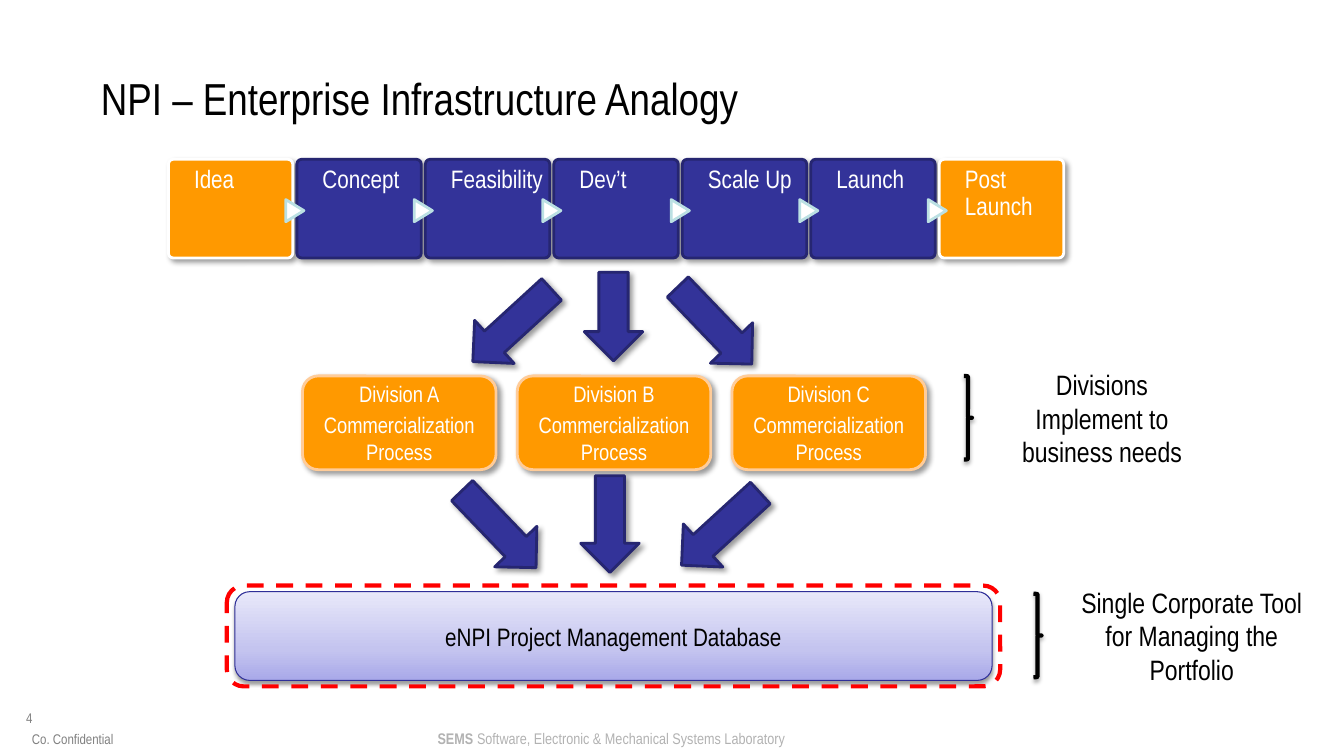
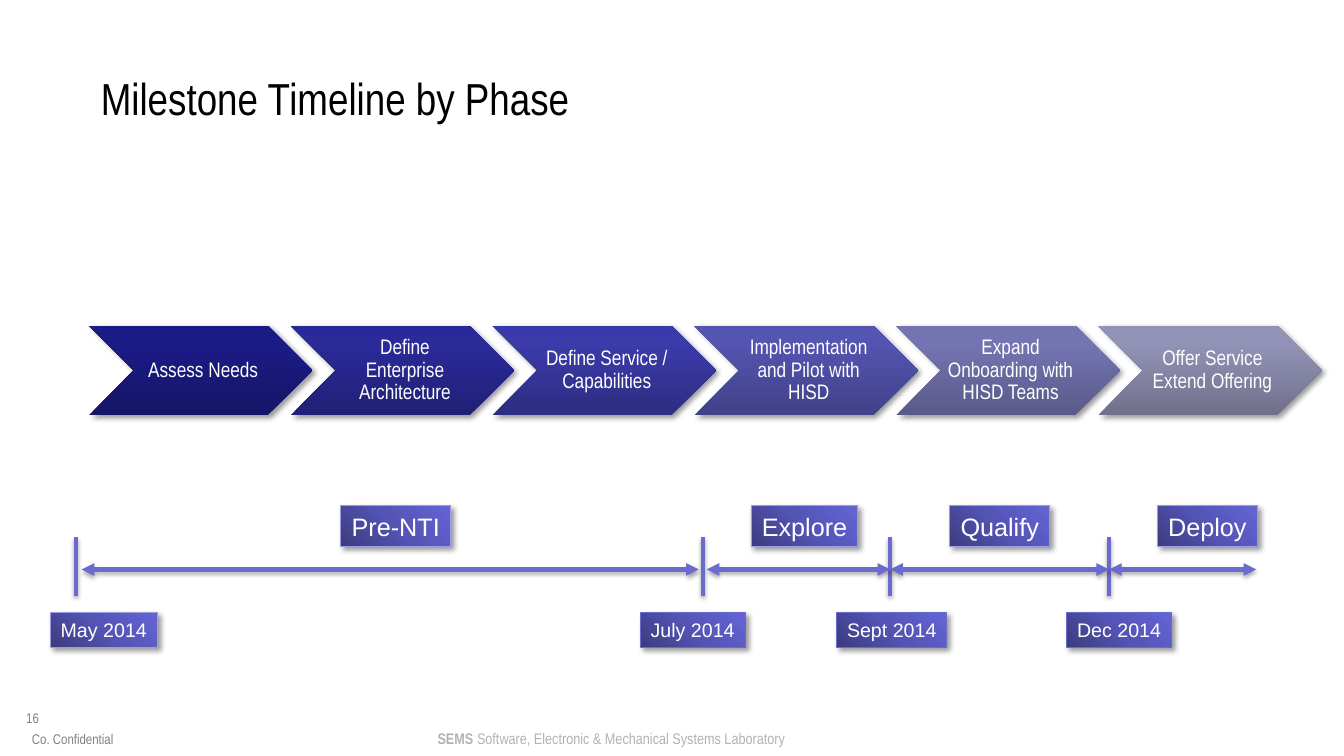
import collections

import lxml.etree
import pptx
import pptx.dml.color
import pptx.enum.dml
import pptx.enum.shapes
import pptx.enum.text
import pptx.oxml.ns
import pptx.util

Inches, Pt = pptx.util.Inches, pptx.util.Pt
RGBColor = pptx.dml.color.RGBColor
PRESET = pptx.enum.shapes.MSO_SHAPE
ALIGN = pptx.enum.text.PP_ALIGN
ANCHOR = pptx.enum.text.MSO_ANCHOR
qn = pptx.oxml.ns.qn

Box = collections.namedtuple("Box", "left top width height")

# Colours and fonts
WHITE = RGBColor(0xFF, 0xFF, 0xFF)
BLACK = RGBColor(0x00, 0x00, 0x00)
GRAY = RGBColor(0x80, 0x80, 0x80)
SILVER = RGBColor(0xB2, 0xB2, 0xB2)
ORANGE = RGBColor(0xFF, 0x99, 0x00)
PEACH = RGBColor(0xFF, 0xCC, 0x99)
INDIGO = RGBColor(0x33, 0x33, 0x99)
DARK_INDIGO = RGBColor(0x26, 0x26, 0x71)
MID_INDIGO = RGBColor(0x2F, 0x2F, 0x98)
ICE = RGBColor(0xBB, 0xE0, 0xE3)
RED = RGBColor(0xFF, 0x00, 0x00)
PERIWINKLE = RGBColor(0x6B, 0x6B, 0xCF)
LAVENDER = RGBColor(0x9C, 0x9C, 0xDF)
NARROW, REGULAR = "Arial Narrow", "Arial"

# Shadows: opacity %, blur pt, distance pt, direction degrees
RAISED = (40, 4, 3, 45)
SOFT = (35, 3.1, 1.8, 90)

# Gradients: angle and (position %, colour) stops
DATABASE_FILL = (270, [(0, "A9A9E9"), (35, "C4C4EF"), (100, "E8E8FA")])
TAG_FILL = (315, [(0, "3B3B7F"), (50, "5454B5"), (100, "6464D6")])


def put_text(frame, paragraphs, size=18, color=WHITE, font=NARROW, align=ALIGN.CENTER,
             anchor=ANCHOR.MIDDLE, insets=(0, 0, 0, 0), wrap=True, spacing=None, before=0):
    """Fill a frame; each paragraph is a string or a list of (text, bold) runs."""
    frame.word_wrap = wrap
    frame.auto_size = pptx.enum.text.MSO_AUTO_SIZE.NONE
    frame.vertical_anchor = anchor
    (frame.margin_left, frame.margin_top,
     frame.margin_right, frame.margin_bottom) = map(Inches, insets)
    for index, content in enumerate(paragraphs):
        paragraph = frame.add_paragraph() if index else frame.paragraphs[0]
        paragraph.alignment = align
        if spacing:
            paragraph.line_spacing = spacing
        if index and before:
            paragraph.space_before = Pt(before)
        for text, bold in [(content, False)] if isinstance(content, str) else content:
            run = paragraph.add_run()
            run.text = text
            run.font.name, run.font.size, run.font.bold = font, Pt(size), bold
            run.font.color.rgb = color


def add_label(slide, box, paragraphs, **text_format):
    label = slide.shapes.add_textbox(*map(Inches, box))
    put_text(label.text_frame, paragraphs, **text_format)


def add_shadow(shape, shadow):
    properties = shape.element.spPr
    effects = properties.find(qn("a:effectLst"))
    if effects is None:
        effects = lxml.etree.SubElement(properties, qn("a:effectLst"))
    if shadow:
        opacity, blur, distance, direction = shadow
        outer = lxml.etree.SubElement(
            effects, qn("a:outerShdw"), blurRad=str(Pt(blur)), dist=str(Pt(distance)),
            dir=str(direction * 60000), algn="ctr", rotWithShape="0")
        tint = lxml.etree.SubElement(outer, qn("a:srgbClr"), val=str(BLACK))
        lxml.etree.SubElement(tint, qn("a:alpha"), val=str(opacity * 1000))


def add_gradient(shape, angle, stops):
    shape.fill.gradient()
    shape.fill.gradient_angle = 360 - angle
    stop_list = shape.element.spPr.find(".//" + qn("a:gsLst"))
    for old_stop in list(stop_list):
        stop_list.remove(old_stop)
    for position, color in stops:
        stop = lxml.etree.SubElement(stop_list, qn("a:gs"), pos=str(position * 1000))
        lxml.etree.SubElement(stop, qn("a:srgbClr"), val=color)


def add_shape(slide, preset, box, fill=None, line=None, weight=2, shadow=RAISED,
              rotation=0):
    """Add a preset shape; fill is a colour, an (angle, stops) gradient or None."""
    shape = slide.shapes.add_shape(preset, *map(Inches, box))
    shape.rotation = rotation
    shape.shadow.inherit = False
    if fill is None:
        shape.fill.background()
    elif isinstance(fill, RGBColor):
        shape.fill.solid()
        shape.fill.fore_color.rgb = fill
    else:
        add_gradient(shape, *fill)
    if line is None:
        shape.line.fill.background()
    else:
        shape.line.color.rgb = line
        shape.line.width = Pt(weight)
    add_shadow(shape, shadow)
    return shape


def add_rule(slide, start, end, arrows=False):
    rule = slide.shapes.add_connector(
        pptx.enum.shapes.MSO_CONNECTOR.STRAIGHT, *map(Inches, start + end))
    rule.line.color.rgb = PERIWINKLE
    rule.line.width = Pt(3)
    if arrows:
        outline = rule.element.spPr.find(qn("a:ln"))
        for tip in ("a:headEnd", "a:tailEnd"):
            lxml.etree.SubElement(outline, qn(tip), type="triangle")
    add_shadow(rule, SOFT)


def new_slide(deck, title, number):
    """Start a slide with the shared title style and footer."""
    slide = deck.slides.add_slide(deck.slide_layouts.get_by_name("Title Only"))
    heading = slide.shapes.title
    heading.left, heading.top, heading.width, heading.height = map(
        Inches, (1, 0.68, 12, 0.58))
    put_text(heading.text_frame, [title], size=32, color=BLACK, align=ALIGN.LEFT)

    add_label(slide, Box(0.26, 7.04, 0.71, 0.25), [number], size=10, color=GRAY,
              align=ALIGN.LEFT, anchor=ANCHOR.TOP)
    add_label(slide, Box(4.34, 7.23, 4, 0.19),
              [[("SEMS ", True),
                ("Software, Electronic & Mechanical Systems Laboratory", False)]],
              size=11, color=SILVER, align=ALIGN.LEFT, anchor=ANCHOR.TOP)
    add_label(slide, Box(0.11, 7.19, 1.22, 0.22), ["Co. Confidential"], size=10,
              color=GRAY, anchor=ANCHOR.BOTTOM)
    return slide


# Infrastructure slide
def add_stages(slide, box, names):
    gap = 0.04
    width = (box.width + gap) / len(names) - gap
    lefts = [box.left + i * (width + gap) for i in range(len(names))]
    for left, name in zip(lefts, names):
        outer = name in (names[0], names[-1])
        stage = add_shape(slide, PRESET.ROUNDED_RECTANGLE,
                          Box(left, box.top, width, box.height),
                          fill=ORANGE if outer else INDIGO,
                          line=WHITE if outer else DARK_INDIGO)
        stage.adjustments[0] = 0.05
        put_text(stage.text_frame, [name], align=ALIGN.LEFT, anchor=ANCHOR.TOP,
                 insets=(0.24, 0.06, 0, 0), spacing=0.9)
    # Pointers between neighbouring stages
    for left in lefts[1:]:
        add_shape(slide, PRESET.FLOWCHART_EXTRACT,
                  Box(left - 0.13, box.top + 0.42, 0.22, 0.18),
                  fill=WHITE, line=ICE, shadow=None, rotation=90)


def add_arrow_fan(slide, box, side_height, tilts):
    """Place a straight arrow in the middle and a tilted one at each side."""
    width = 0.58
    arrows = zip((0, 0.5, 1), (side_height, box.height, side_height),
                 (tilts[0], 0, tilts[1]))
    for share, height, tilt in arrows:
        left = box.left + share * (box.width - width)
        add_shape(slide, PRESET.DOWN_ARROW, Box(left, box.top, width, height),
                  fill=INDIGO, line=DARK_INDIGO, rotation=tilt)


def add_divisions(slide, box, letters):
    width = 1.92
    pitch = (box.width - width) / (len(letters) - 1)
    for i, letter in enumerate(letters):
        division = add_shape(slide, PRESET.ROUNDED_RECTANGLE,
                             Box(box.left + i * pitch, box.top, width, box.height),
                             fill=ORANGE, line=PEACH)
        put_text(division.text_frame, ["Division " + letter, "Commercialization Process"],
                 size=16, insets=(0.1, 0.05, 0.1, 0.05), before=3)


def add_database(slide, box, name):
    margin = 0.08
    database = add_shape(
        slide, PRESET.ROUNDED_RECTANGLE,
        Box(box.left + margin, box.top + 0.06, box.width - 2 * margin, box.height - 0.12),
        fill=DATABASE_FILL, line=MID_INDIGO, weight=0.75, shadow=(38, 3.1, 1.6, 90))
    put_text(database.text_frame, [name], color=BLACK)
    frame = add_shape(slide, PRESET.ROUNDED_RECTANGLE, box, line=RED, weight=3,
                      shadow=None)
    frame.line.dash_style = pptx.enum.dml.MSO_LINE.DASH


def add_braced_note(slide, box, note, note_width):
    add_shape(slide, PRESET.RIGHT_BRACE,
              Box(box.left, box.top + 0.14, 0.08, box.height - 0.28),
              line=BLACK, weight=3, shadow=SOFT)
    add_label(slide, Box(box.left + box.width - note_width, box.top, note_width, box.height),
              [note], size=20, color=BLACK, insets=(0.1, 0.05, 0.1, 0.05))


def build_infrastructure(deck):
    slide = new_slide(deck, "NPI – Enterprise Infrastructure Analogy", "4")
    add_stages(slide, Box(1.67, 1.58, 8.88, 0.98),
               ["Idea", "Concept", "Feasibility", "Dev’t", "Scale Up", "Launch",
                "Post Launch"])
    add_arrow_fan(slide, Box(4.79, 2.7, 2.59, 0.88), 1.06, (47.5, 316.2))
    add_divisions(slide, Box(3, 3.73, 6.18, 0.93), "ABC")
    add_arrow_fan(slide, Box(4.66, 4.72, 2.78, 0.96), 1.06, (316.2, 47.5))
    add_database(slide, Box(2.25, 5.81, 7.67, 1), "eNPI Project Management Database")
    add_braced_note(slide, Box(9.56, 3.59, 2.37, 1.11),
                    "Divisions Implement to business needs", 2)
    add_braced_note(slide, Box(10.25, 5.75, 2.86, 1.11),
                    "Single Corporate Tool for Managing the Portfolio", 2.58)


# Milestone slide
def add_phases(slide, box, phases):
    width = 2.22
    pitch = (box.width - width) / (len(phases) - 1)
    for i, (name, *shades) in enumerate(phases):
        phase = add_shape(slide, PRESET.CHEVRON,
                          Box(box.left + i * pitch, box.top, width, box.height),
                          fill=(270, list(zip((0, 80, 100), shades))))
        put_text(phase.text_frame, [name], size=15, insets=(0.05, 0.02, 0, 0.02),
                 spacing=0.9)


def add_tag(slide, box, text, size, line=LAVENDER):
    tag = add_shape(slide, PRESET.RECTANGLE, box, fill=TAG_FILL, line=line, weight=0.75)
    put_text(tag.text_frame, [text], size=size, font=REGULAR, wrap=False)


def add_timeline(slide, box, milestones, spans):
    axis = box.top + 0.63
    for tick, date, left, width, line in milestones:
        add_rule(slide, (box.left + tick, axis - 0.32), (box.left + tick, axis + 0.26))
        add_tag(slide, Box(box.left + left, box.top + 1.06, width, 0.34), date, 14, line)
    for start, end, stage, left, width in spans:
        add_rule(slide, (box.left + start, axis), (box.left + end, axis), arrows=True)
        add_tag(slide, Box(box.left + left, box.top, width, 0.4), stage, 18)


def build_milestones(deck):
    slide = new_slide(deck, "Milestone Timeline by Phase", "16")
    add_phases(slide, Box(0.88, 3.23, 12.23, 0.89), [
        ("Assess Needs", "151567", "1B1B86", "191988"),
        ("Define Enterprise Architecture", "202076", "2A2A99", "28289C"),
        ("Define Service / Capabilities", "2D2D82", "3B3BA9", "3939AC"),
        ("Implementation and Pilot with HISD", "414188", "5454B1", "5353B3"),
        ("Expand Onboarding with HISD Teams", "5A5A89", "7474B2", "7474B4"),
        ("Offer Service Extend Offering", "70708C", "9292B6", "9292B8"),
    ])
    # Offsets from the left edge of the timeline
    add_timeline(slide, Box(0.5, 5.02, 11.97, 1.4), [
        (0.25, "May 2014", 0, 1.06, LAVENDER),
        (6.47, "July 2014", 5.85, 1.04, PERIWINKLE),
        (8.33, "Sept 2014", 7.8, 1.09, PERIWINKLE),
        (10.5, "Dec 2014", 10.08, 1.04, PERIWINKLE),
    ], [
        (0.31, 6.43, "Pre-NTI", 2.88, 1.09),
        (6.51, 8.33, "Explore", 6.95, 1.06),
        (8.33, 10.5, "Qualify", 8.92, 0.99),
        (10.5, 11.96, "Deploy", 10.98, 0.99),
    ])


def main():
    deck = pptx.Presentation()
    deck.slide_width, deck.slide_height = Inches(13.33), Inches(7.5)
    build_infrastructure(deck)
    build_milestones(deck)
    deck.save("out.pptx")


if __name__ == "__main__":
    main()
